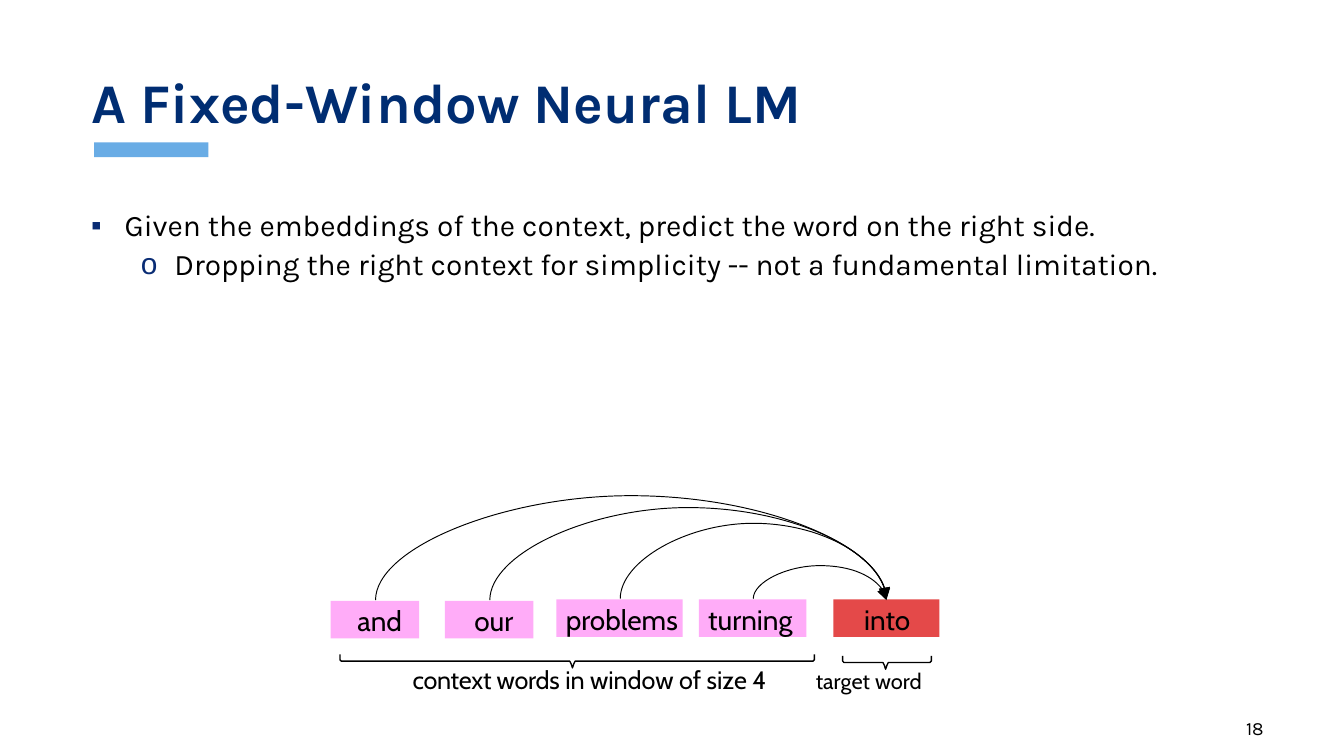
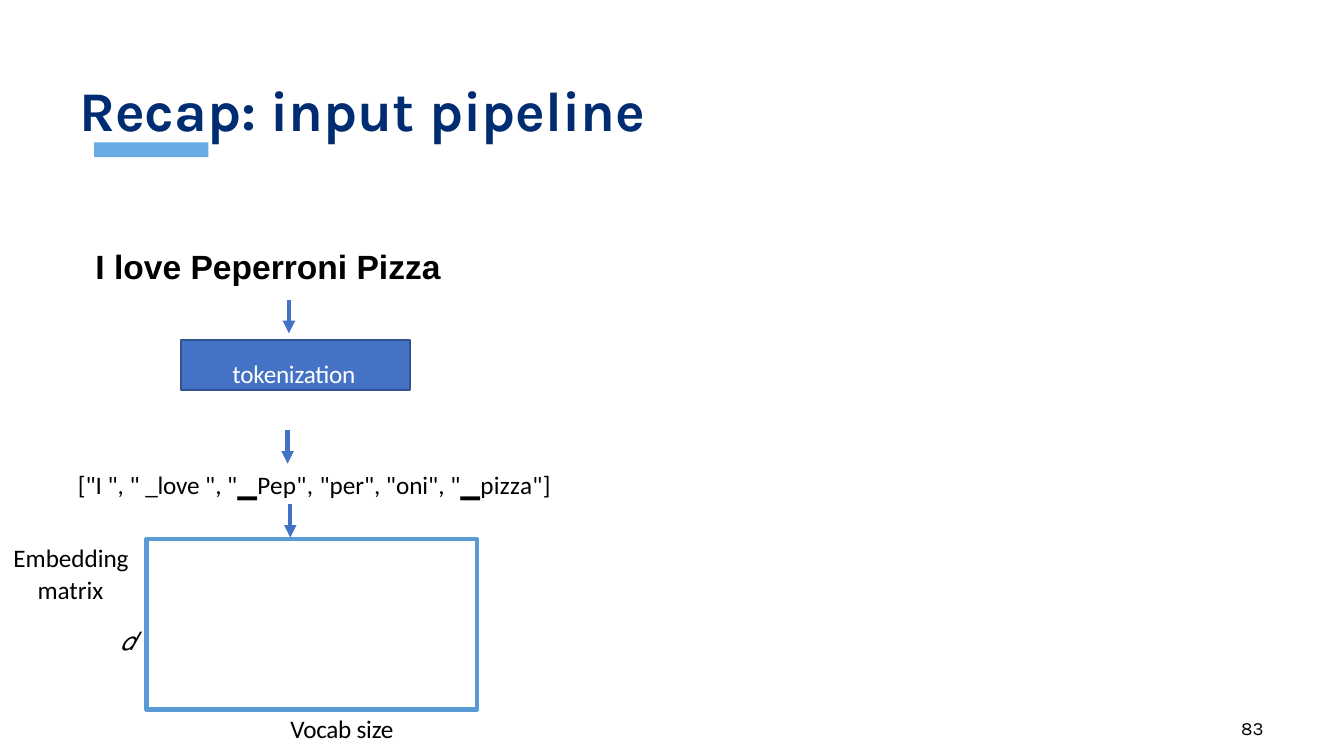
from dataclasses import dataclass, replace
from typing import Optional

from lxml import etree
from pptx import Presentation
from pptx import util as u
from pptx.dml.color import RGBColor
from pptx.enum import shapes, text
from pptx.oxml import ns

EMU_PER_PX = 9144  # 100 px to the inch

NAVY, BULLET_NAVY, SKY = "002D72", "092C74", "69ACE5"
BLACK, WHITE = "000000", "FFFFFF"
PINK, RED = "FFACF8", "E44949"
BLUE, BLUE_EDGE, MATRIX_BLUE = "4472C4", "32538F", "5B9BD5"
LEFT, CENTER, RIGHT = text.PP_ALIGN.LEFT, text.PP_ALIGN.CENTER, text.PP_ALIGN.RIGHT
TOP, MIDDLE, BOTTOM = text.MSO_ANCHOR.TOP, text.MSO_ANCHOR.MIDDLE, text.MSO_ANCHOR.BOTTOM


@dataclass(frozen=True)
class Style:
    font: str
    size: float
    color: str = BLACK
    bold: bool = False
    italic: bool = False
    baseline: int = 0
    tracking: int = 0  # hundredths of a point


@dataclass(frozen=True)
class Para:
    runs: tuple[tuple[str, Style], ...]
    align: text.PP_ALIGN = LEFT
    margin: int = 0
    indent: int = 0
    right: int = 0
    level: int = 0
    before: float = 0
    spacing: Optional[float | u.Pt] = None
    bullet: str = ""
    tab: int = 0


@dataclass(frozen=True)
class Box:
    left: int
    top: int
    width: int
    height: int


@dataclass(frozen=True)
class Word:
    label: str
    box: Box
    align: text.PP_ALIGN = LEFT
    margin: int = 7
    fill: str = PINK
    bow: int = 0  # height of the arc to the target word


TITLE = Style("Karla", 30, NAVY, bold=True)
BODY = Style("Karla", 16)
NUMBER = Style("Karla", 10)
WORD = Style("Cabin", 15)
CAPTION = Style("Cabin", 13.5)
TIGHT_CAPTION = replace(CAPTION, tracking=-10)
TARGET_CAPTION = Style("Cabin", 20.2, baseline=2000)
SENTENCE = Style("Arial", 18, bold=True)
LABEL = Style("Calibri", 13.5)
TIGHT_LABEL = replace(LABEL, tracking=-10)
LOOSE_LABEL = replace(LABEL, tracking=20)
MARK = Style("Cambria", 13.5, tracking=20)
SYMBOL = Style("Arial", 13.5, italic=True)
STEP = replace(TIGHT_LABEL, color=WHITE)


# Basic helpers
def px(value: float) -> int:
    return u.Emu(round(value * EMU_PER_PX))


def rgb(color: str) -> RGBColor:
    return RGBColor.from_string(color)


def child(parent, tag: str, **attributes: str):
    return etree.SubElement(parent, ns.qn(tag), **attributes)


def one(words: str, style: Style, **options) -> Para:
    return Para(((words, style),), **options)


def set_font(font, style: Style) -> None:
    font.name, font.size = style.font, u.Pt(style.size)
    font.bold, font.italic = style.bold, style.italic
    font.color.rgb = rgb(style.color)


def write(shape, paras: list[Para], insets=(0, 0, 0, 0), anchor=TOP) -> None:
    frame = shape.text_frame
    frame.word_wrap, frame.vertical_anchor = True, anchor
    (frame.margin_left, frame.margin_top,
     frame.margin_right, frame.margin_bottom) = map(px, insets)
    for number, para in enumerate(paras):
        line = frame.add_paragraph() if number else frame.paragraphs[0]
        line.alignment, line.level = para.align, para.level
        line.space_before = u.Pt(para.before)
        if para.spacing:
            line.line_spacing = para.spacing
        props = line._p.get_or_add_pPr()
        for name, value in (("marL", para.margin), ("marR", para.right), ("indent", para.indent)):
            props.set(name, str(px(value)))
        if para.bullet:
            child(child(props, "a:buClr"), "a:srgbClr", val=BULLET_NAVY)
            child(props, "a:buFont", typeface="Arial")
            child(props, "a:buChar", char=para.bullet)
        if para.tab:
            child(child(props, "a:tabLst"), "a:tab", pos=str(px(para.tab)), algn="l")
        same = len({style for _, style in para.runs}) == 1
        if same:
            set_font(line.font, para.runs[0][1])
        for words, style in para.runs:
            run = line.add_run()
            run.text = words
            if not same:
                set_font(run.font, style)
            for name, value in (("baseline", style.baseline), ("spc", style.tracking)):
                if value:
                    run._r.get_or_add_rPr().set(name, str(value))


def text_box(slide, box: Box, paras: list[Para], insets=(0, 1, 0, 0), anchor=TOP) -> None:
    shape = slide.shapes.add_textbox(px(box.left), px(box.top), px(box.width), px(box.height))
    write(shape, paras, insets, anchor)


def paint(shape, fill: str = "", line: str = "", weight: float = 1) -> None:
    shape.shadow.inherit = False
    if fill:
        shape.fill.solid()
        shape.fill.fore_color.rgb = rgb(fill)
    else:
        shape.fill.background()
    if line:
        shape.line.color.rgb = rgb(line)
        shape.line.width = u.Pt(weight)
    else:
        shape.line.fill.background()


def rectangle(slide, box: Box, fill: str = "", line: str = "", weight: float = 1):
    shape = slide.shapes.add_shape(shapes.MSO_SHAPE.RECTANGLE, px(box.left), px(box.top),
                                   px(box.width), px(box.height))
    paint(shape, fill, line, weight)
    return shape


# Arrows and braces
def arrow(slide, kind, start, end, color: str, weight: float, tip: str):
    connector = slide.shapes.add_connector(kind, *map(px, (*start, *end)))
    connector.line.color.rgb = rgb(color)
    connector.line.width = u.Pt(weight)
    child(connector.line._get_or_add_ln(), tip, type="triangle")
    child(connector._element.spPr, "a:effectLst")
    return connector


def down_arrow(slide, x: int, top: int) -> None:
    arrow(slide, shapes.MSO_CONNECTOR.STRAIGHT, (x, top), (x, top + 25), BLUE, 2.25, "a:tailEnd")


def arc(slide, target: Word, context: Word) -> None:
    """Arc from the target back to a context word: a connector one px wide, turned upright."""
    start_x = target.box.left + target.box.width // 2
    end_x = context.box.left + context.box.width // 2
    span, middle = start_x - end_x, (start_x + end_x) / 2
    lower = context.box.top > target.box.top
    y = target.box.top
    connector = arrow(slide, shapes.MSO_CONNECTOR.CURVE, (middle, y - span / 2),
                      (middle + 1, y + span / 2), BLACK, 0.5, "a:headEnd")
    frame = connector._element.spPr.find(ns.qn("a:xfrm"))
    frame.set("rot", str(270 * 60000))
    frame.set("flipV", "1")
    if lower:
        frame.set("flipH", "1")
    guides = connector._element.spPr.find(ns.qn("a:prstGeom")).get_or_add_avLst()
    bend = (-context.bow if lower else context.bow) * 100000
    child(guides, "a:gd", name="adj1", fmla=f"val {bend}")


def brace(slide, left: int, top: int, width: int, tip: int) -> None:
    right_half = [(width, 2), (width, 4), (width - 1, 5), (tip + 2, 5), (tip + 1, 7)]
    left_half = [(tip - 1, 7), (tip - 2, 5), (1, 5), (0, 4), (0, 2), (0, 0)]
    builder = slide.shapes.build_freeform(left + width, top, scale=EMU_PER_PX)
    points = [*right_half, (tip, 10), *left_half]
    builder.add_line_segments([(left + x, top + y) for x, y in points], close=False)
    paint(builder.convert_to_shape(), line=BLACK, weight=0.75)


# Parts shared by the slides
def base_slide(deck, number: int, title: Para, title_insets):
    slide = deck.slides.add_slide(deck.slide_layouts[6])
    rectangle(slide, Box(70, 106, 85, 11), SKY)
    text_box(slide, Box(863, 532, 87, 19), [one(str(number), NUMBER, align=RIGHT)],
             (10, 5, 10, 5), MIDDLE)
    text_box(slide, Box(58, 12, 884, 94), [title], title_insets, BOTTOM)
    return slide


def window_slide(deck) -> None:
    slide = base_slide(deck, 18, one("A Fixed-Window Neural LM", TITLE, spacing=0.9),
                       (10, 5, 10, 5))
    text_box(slide, Box(58, 152, 884, 337), [
        one("Given the embeddings of the context, predict the word on the right side.", BODY,
            margin=25, indent=-25, spacing=0.9, bullet="▪"),
        one("Dropping the right context for simplicity -- not a fundamental limitation.", BODY,
            margin=62, indent=-25, level=1, before=3.8, spacing=0.9, bullet="o"),
    ], (10, 5, 10, 5))

    # Words and the arcs between them
    target = Word("into", Box(620, 446, 79, 28), margin=23, fill=RED)
    context = [
        Word("and", Box(246, 447, 66, 28), align=CENTER, bow=78),
        Word("our", Box(331, 447, 66, 28), align=CENTER, bow=69),
        Word("problems", Box(414, 446, 94, 28), bow=58),
        Word("turning", Box(520, 446, 80, 28), bow=26),
    ]
    for word in [*context, target]:
        shape = rectangle(slide, word.box, word.fill)
        write(shape, [one(word.label, WORD, align=word.align, margin=word.margin)], (0, 2, 0, 0))
    for word in context:
        arc(slide, target, word)

    # Braces and their captions
    brace(slide, 253, 487, 353, 173)
    brace(slide, 627, 488, 66, 32)
    captions = (("context words ", TIGHT_CAPTION), ("in window of size 4\t", CAPTION),
                ("target word", TARGET_CAPTION))
    text_box(slide, Box(285, 495, 540, 25),
             [Para(captions, margin=22, spacing=u.Pt(15.8), tab=332)], (0, 2, 0, 0))


def pipeline_slide(deck) -> None:
    slide = base_slide(deck, 83, one("Recap: input pipeline", TITLE, margin=1), (0, 1, 0, 0))

    # Sentence and tokenization step
    text_box(slide, Box(70, 182, 259, 31), [one("I love Peperroni Pizza", SENTENCE, margin=1)])
    step = rectangle(slide, Box(135, 253, 170, 37), BLUE, BLUE_EDGE)
    write(step, [one("tokenization", STEP, margin=38)], (0, 14, 0, 0))

    # Embedding matrix, with the tokens above it and its labels around it
    rectangle(slide, Box(109, 401, 246, 127), line=MATRIX_BLUE, weight=2.25)
    tokens = (('["I ", " ', LABEL), ("_love", TIGHT_LABEL), (' ", ', LABEL), ('"', LOOSE_LABEL),
              ("▁", MARK), ('Pep", ', LOOSE_LABEL), ('"per", "oni", ', LABEL),
              ('"', LOOSE_LABEL), ("▁", MARK), ('pizza"]', LOOSE_LABEL))
    text_box(slide, Box(9, 348, 408, 206), [
        Para(tokens, margin=49),
        one("Embedding  matrix", LABEL, margin=19, indent=-18, right=298, before=22.3,
            spacing=1.06),
        one("𝑑", SYMBOL, margin=81, before=11),
        one("Vocab size", TIGHT_LABEL, margin=207, before=30.8),
    ])
    for x, top in ((215, 223), (214, 320), (216, 375)):
        down_arrow(slide, x, top)


def main() -> None:
    deck = Presentation()
    deck.slide_width = px(1000)
    deck.slide_height = deck.slide_width * 9 // 16
    window_slide(deck)
    pipeline_slide(deck)
    deck.save("out.pptx")


if __name__ == "__main__":
    main()
